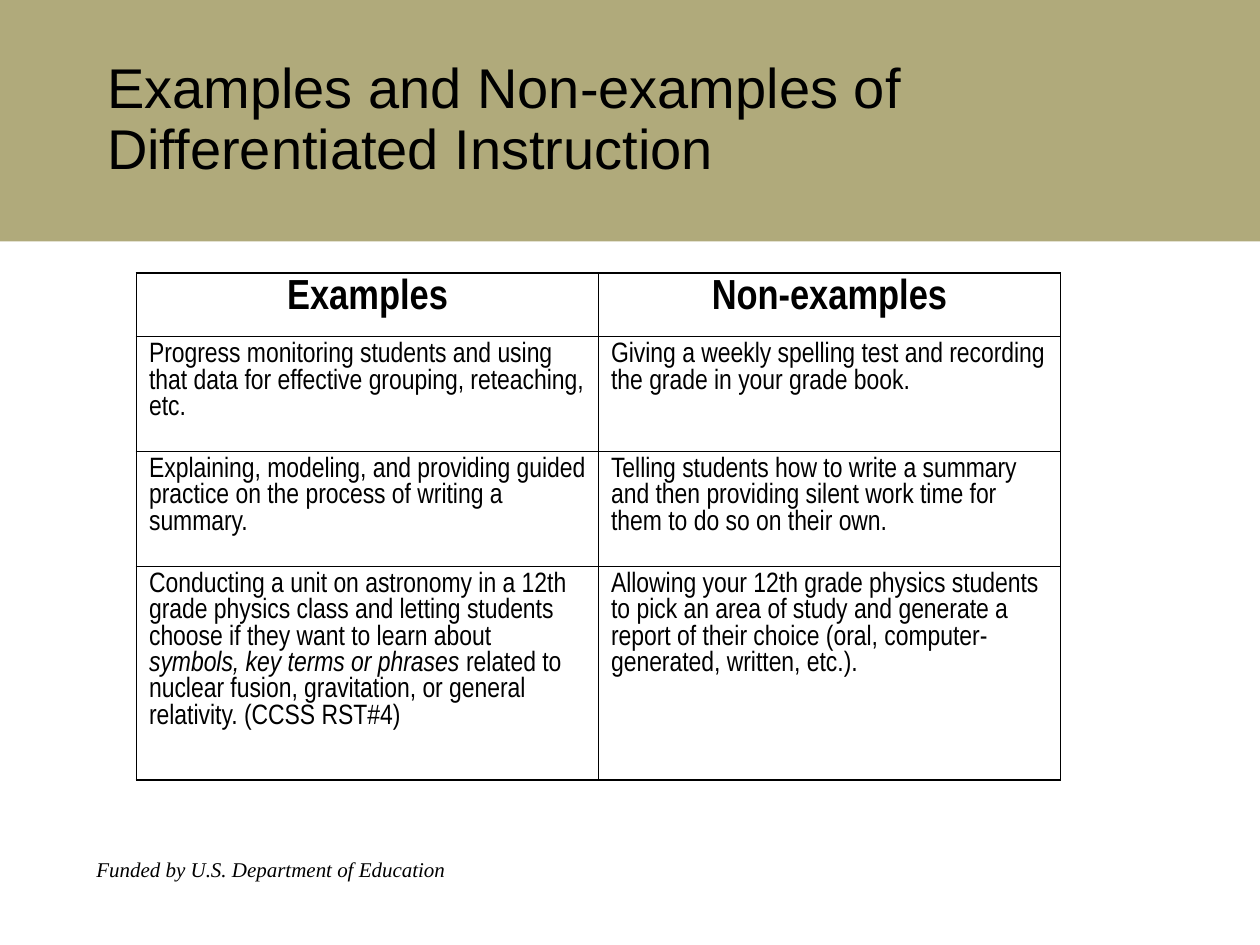
import pptx
import pptx.dml.color
import pptx.enum.shapes
import pptx.enum.text
import pptx.oxml
import pptx.oxml.ns
import pptx.util

COLORS = {"band": "B0AA7B", "ink": "000000"}
COLUMNS, ROWS = 120, 90
OUTER, INNER = 1.08, 0.45
ALIGN = pptx.enum.text.PP_ALIGN

HEADINGS = ["Examples", "Non-examples"]
PAIRS = [
    ("Progress monitoring students and using that data for effective grouping, "
     "reteaching, etc.",
     "Giving a weekly spelling test and recording the grade in your grade book."),
    ("Explaining, modeling, and providing guided practice on the process of "
     "writing a summary.",
     "Telling students how to write a summary and then providing silent work "
     "time for them to do so on their own."),
    ("Conducting a unit on astronomy in a 12th grade physics class and letting "
     "students choose if they want to learn about *symbols, key terms or "
     "phrases* related to nuclear fusion, gravitation, or general relativity. "
     "(CCSS RST#4)",
     "Allowing your 12th grade physics students to pick an area of study and "
     "generate a report of their choice (oral, computer-generated, written, "
     "etc.)."),
]


def color(name):
    return pptx.dml.color.RGBColor.from_string(COLORS[name])


class Deck:
    def __init__(self):
        self.presentation = pptx.Presentation()
        self.presentation.slide_width = pptx.util.Inches(10)
        self.presentation.slide_height = pptx.util.Inches(7.5)
        self.column = self.presentation.slide_width / COLUMNS
        self.row = self.presentation.slide_height / ROWS
        layout = self.presentation.slide_layouts[5]
        self.slide = self.presentation.slides.add_slide(layout)

    def place(self, left, top, width, height):
        return (round(left * self.column), round(top * self.row),
                round(width * self.column), round(height * self.row))

    def fill_text(self, paragraph, text, font, size, align=ALIGN.LEFT, bold=False):
        for index, part in enumerate(text.split("*")):
            run = paragraph.add_run()
            run.text = part
            if index % 2:
                run.font.italic = True
        paragraph.alignment = align
        paragraph.font.name = font
        paragraph.font.size = pptx.util.Pt(size)
        paragraph.font.bold = bold
        paragraph.font.color.rgb = color("ink")

    def band(self, *box):
        band = self.slide.shapes.add_shape(
            pptx.enum.shapes.MSO_SHAPE.RECTANGLE, *self.place(*box))
        band.fill.solid()
        band.fill.fore_color.rgb = color("band")
        band.line.fill.background()
        band.shadow.inherit = False
        self.slide.shapes._spTree.insert(2, band._element)

    def title(self, text, *box):
        title = self.slide.shapes.title
        title.left, title.top, title.width, title.height = self.place(*box)
        frame = title.text_frame
        frame.auto_size = pptx.enum.text.MSO_AUTO_SIZE.NONE
        frame.vertical_anchor = pptx.enum.text.MSO_ANCHOR.MIDDLE
        self.fill_text(frame.paragraphs[0], text, "Arial", 32)
        frame.paragraphs[0].line_spacing = 0.9

    def credit(self, text, *box):
        frame = self.slide.shapes.add_textbox(*self.place(*box)).text_frame
        frame.word_wrap = True
        self.fill_text(frame.paragraphs[0], text, "Times New Roman", 12)
        frame.paragraphs[0].font.italic = True

    def border(self, cell, widths):
        properties = cell._tc.get_or_add_tcPr()
        for index, (side, width) in enumerate(widths.items()):
            properties.insert(index, pptx.oxml.parse_xml(
                f'<a:ln{side} {pptx.oxml.ns.nsdecls("a")} w="{pptx.util.Pt(width)}">'
                f'<a:solidFill><a:srgbClr val="{COLORS["ink"]}"/></a:solidFill>'
                f'</a:ln{side}>'))

    def table(self, records, heights, left, top, width):
        count = len(records[0])
        table = self.slide.shapes.add_table(
            len(records), count,
            *self.place(left, top, width, sum(heights))).table
        table.first_row = table.horz_banding = False
        for row, height in zip(table.rows, heights):
            row.height = round(height * self.row)
        for r, record in enumerate(records):
            for c, text in enumerate(record):
                cell = table.cell(r, c)
                cell.fill.background()
                paragraph = cell.text_frame.paragraphs[0]
                if r == 0:
                    self.fill_text(paragraph, text, "Arial Narrow", 24, ALIGN.CENTER, True)
                else:
                    self.fill_text(paragraph, text, "Arial Narrow", 16)
                paragraph.space_before = pptx.util.Pt(4 if r else 6)
                self.border(cell, {
                    "L": INNER if c else OUTER,
                    "R": OUTER if c == count - 1 else INNER,
                    "T": INNER if r else OUTER,
                    "B": OUTER if r == len(records) - 1 else INNER})


def main():
    deck = Deck()
    deck.band(0, 0, COLUMNS, 23)
    deck.title("Examples and Non-examples of Differentiated Instruction", 9, 0, 102, 23)
    deck.credit("Funded by U.S. Department of Education", 8, 81, 38, 6)
    deck.table([HEADINGS, *PAIRS], [6, 10.95, 10.95, 20.4], 13, 26, 88)
    deck.presentation.save("out.pptx")


if __name__ == "__main__":
    main()
